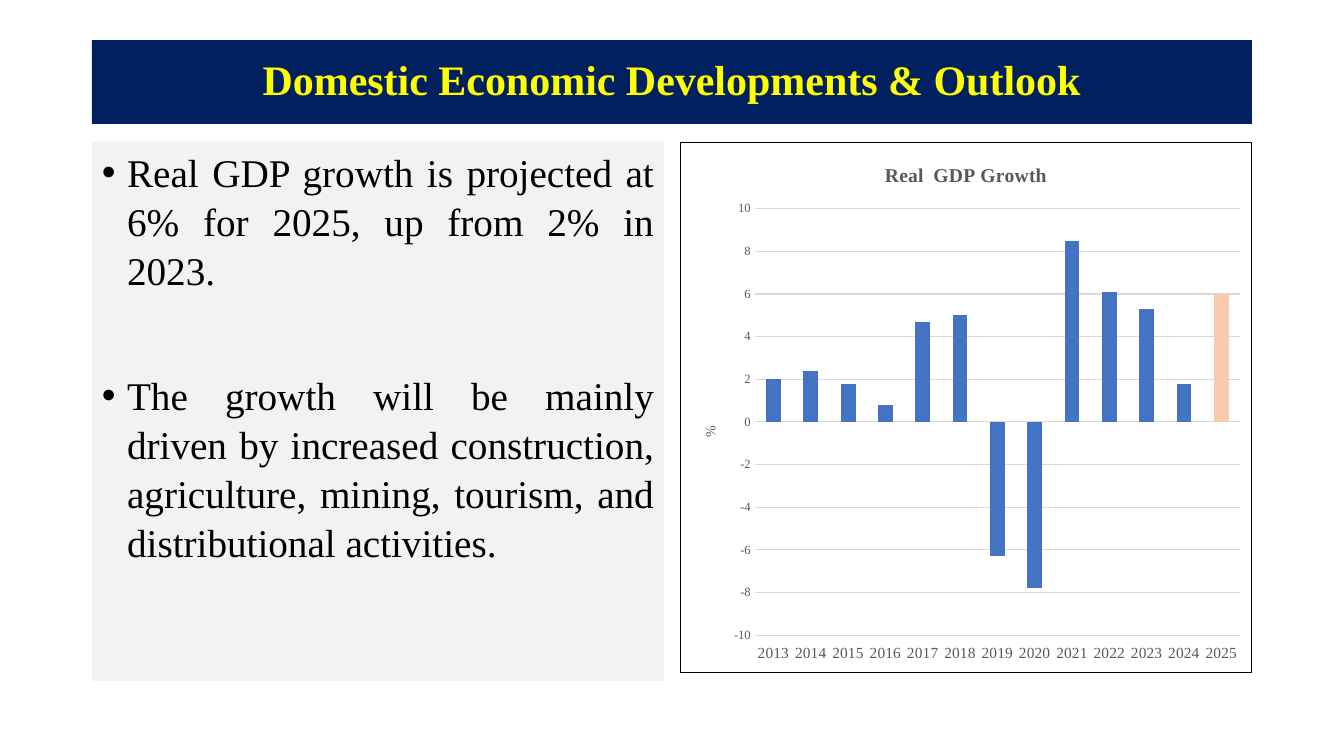
"""Build a slide on domestic economic growth with a text panel and a column chart."""
from pptx import Presentation, util as u
from pptx.chart.data import CategoryChartData
from pptx.dml.color import RGBColor
from pptx.enum import chart as ch, shapes, text
from pptx.oxml import parse_xml
from pptx.oxml.ns import nsdecls

FONT = "Times New Roman"
NAVY = RGBColor(0x00, 0x20, 0x60)
YELLOW = RGBColor(0xFF, 0xFF, 0x00)
PANEL = RGBColor(0xF2, 0xF2, 0xF2)
BLACK = RGBColor(0x00, 0x00, 0x00)
GRAY = RGBColor(0x59, 0x59, 0x59)
GRID = RGBColor(0xD9, 0xD9, 0xD9)
BLUE = RGBColor(0x44, 0x72, 0xC4)
PEACH = RGBColor(0xF8, 0xCB, 0xAD)

POINTS = [
    "Real GDP growth is projected at 6% for 2025, up from 2% in 2023.",
    "The growth will be mainly driven by increased construction, "
    "agriculture, mining, tourism, and distributional activities.",
]
GROWTH = [2, 2.4, 1.8, 0.8, 4.7, 5, -6.3, -7.8, 8.5, 6.1, 5.3, 1.8, 6]


def px(n):
    """Turn pixels into EMU."""
    return u.Emu(round(n * 914400 / 100.8))


def style(font, size, color, bold=False):
    """Set the common look of a font."""
    font.name, font.size, font.bold = FONT, u.Pt(size), bold
    font.color.rgb = color


def add_panel(s, x, y, w, h, fill, anchor):
    """Add a plain filled rectangle and return its text frame."""
    sp = s.shapes.add_shape(shapes.MSO_SHAPE.RECTANGLE, px(x), px(y), px(w), px(h))
    sp.shadow.inherit = False
    sp.fill.solid()
    sp.fill.fore_color.rgb = fill
    sp.line.fill.background()
    tf = sp.text_frame
    tf.word_wrap = True
    tf.vertical_anchor = anchor
    return tf


def add_title(s, title):
    """Add the title banner."""
    tf = add_panel(s, 92, 40, 1160, 84, NAVY, text.MSO_ANCHOR.MIDDLE)
    p = tf.paragraphs[0]
    p.text = title
    p.alignment = text.PP_ALIGN.CENTER
    p.line_spacing = 0.9
    style(p.font, 30, YELLOW, True)


def add_bullets(s, points):
    """Add the panel of justified bullet points."""
    tf = add_panel(s, 92, 142, 572, 539, PANEL, text.MSO_ANCHOR.TOP)
    for i, point in enumerate(points):
        p = tf.paragraphs[0] if i == 0 else tf.add_paragraph()
        p.text = point
        p.alignment = text.PP_ALIGN.JUSTIFY
        p.line_spacing = 1.04
        p.space_before = u.Pt(54 if i else 0)
        style(p.font, 28, BLACK)
        pPr = p._p.get_or_add_pPr()
        pPr.set("marL", str(u.Inches(0.25)))
        pPr.set("indent", str(-u.Inches(0.25)))
        for tag in ('buFont %s typeface="Arial"', 'buChar %s char="•"'):
            mark = parse_xml(f"<a:{tag % nsdecls('a')}/>")
            pPr.insert_element_before(mark, "a:tabLst", "a:defRPr", "a:extLst")


def set_heading(holder, label, size, bold=False):
    """Give a chart or an axis its title."""
    p = holder.text_frame.paragraphs[0]
    r = p.add_run()
    r.text = label
    style(r.font, size, GRAY, bold)


def style_axis(axis, size):
    """Set the text and ticks of an axis."""
    style(axis.tick_labels.font, size, GRAY)
    axis.major_tick_mark = axis.minor_tick_mark = ch.XL_TICK_MARK.NONE


def set_frame(chart):
    """Place the plot area and outline the chart."""
    plot_area = chart._chartSpace.chart.plotArea
    for old in plot_area.xpath("c:layout"):
        plot_area.remove(old)
    sizes = {"x": 0.13, "y": 0.125, "w": 0.85, "h": 0.805}
    parts = "".join(f'<c:{k} val="{v}"/>' for k, v in sizes.items())
    plot_area.insert(0, parse_xml(
        f'<c:layout {nsdecls("c")}><c:manualLayout><c:layoutTarget val="inner"/>'
        f'<c:xMode val="edge"/><c:yMode val="edge"/>{parts}'
        '</c:manualLayout></c:layout>'))
    chart._chartSpace.chart.addnext(parse_xml(
        f'<c:spPr {nsdecls("c", "a")}><a:solidFill><a:srgbClr val="FFFFFF"/></a:solidFill>'
        f'<a:ln w="{u.Pt(0.75)}"><a:solidFill><a:srgbClr val="{BLACK}"/></a:solidFill>'
        '</a:ln></c:spPr>'))


def add_growth_chart(s):
    """Add the column chart of yearly growth."""
    data = CategoryChartData()
    data.categories = [str(year) for year in range(2013, 2026)]
    data.add_series("Series 1", GROWTH)
    chart = s.shapes.add_chart(ch.XL_CHART_TYPE.COLUMN_CLUSTERED, px(680), px(142),
                               px(572), px(531), data).chart
    style(chart.font, 10, BLACK)
    chart.has_legend = False
    chart.has_title = True
    set_heading(chart.chart_title, "Real  GDP Growth", 14, True)
    plot = chart.plots[0]
    plot.gap_width = 150
    plot.vary_by_categories = False
    series = plot.series[0]
    series.invert_if_negative = False
    forecast = series.points[len(GROWTH) - 1]
    for item, color in ((series, BLUE), (forecast, PEACH)):
        item.format.fill.solid()
        item.format.fill.fore_color.rgb = color

    years, percent = chart.category_axis, chart.value_axis
    style_axis(years, 11)
    years.tick_label_position = ch.XL_TICK_LABEL_POSITION.LOW
    style_axis(percent, 9)
    percent.minimum_scale, percent.maximum_scale, percent.major_unit = -10, 10, 2
    percent.format.line.fill.background()
    for line in (years.format.line, percent.major_gridlines.format.line):
        line.color.rgb = GRID
        line.width = u.Pt(0.75)
    set_heading(percent.axis_title, "%", 10)
    set_frame(chart)


def main():
    """Build and save the slide."""
    prs = Presentation()
    prs.slide_width, prs.slide_height = px(1344), px(756)
    s = prs.slides.add_slide(prs.slide_layouts[6])
    add_title(s, "Domestic Economic Developments & Outlook")
    add_bullets(s, POINTS)
    add_growth_chart(s)
    prs.save("out.pptx")


if __name__ == "__main__":
    main()
